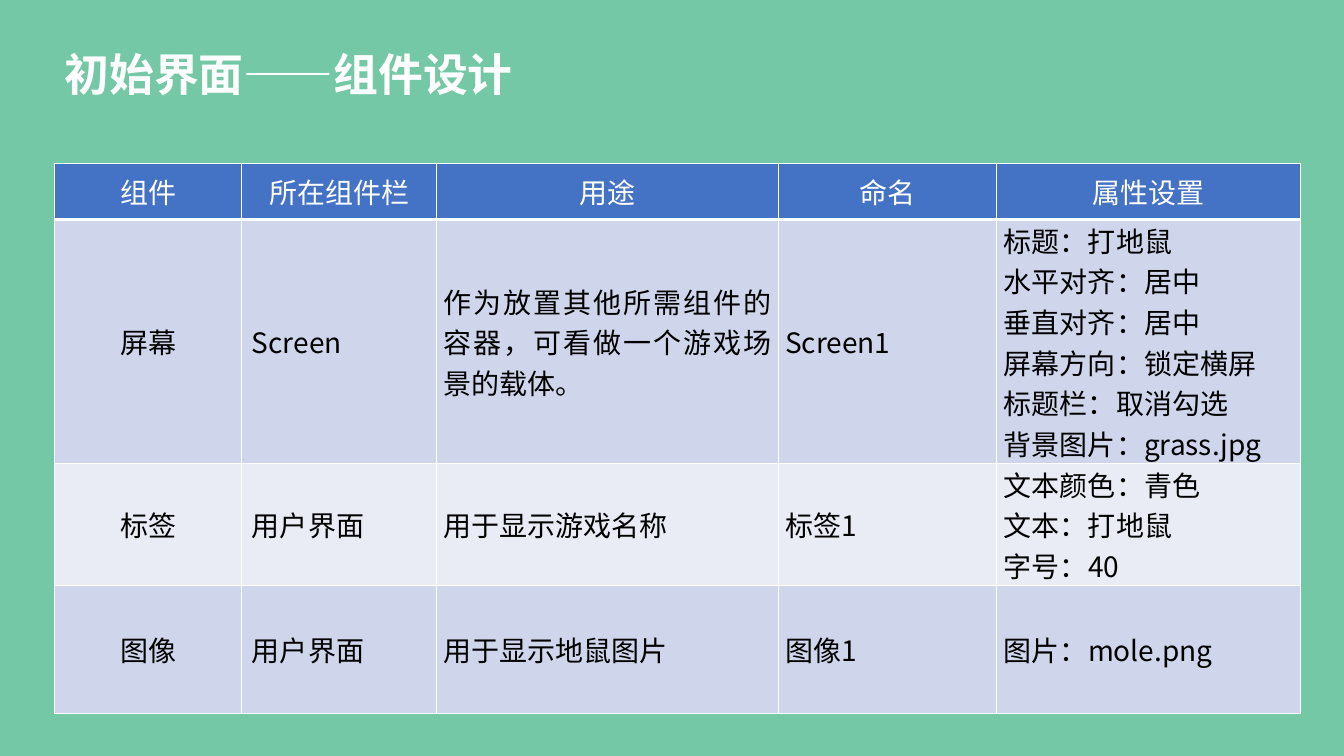
from dataclasses import dataclass

from lxml import etree
from pptx import Presentation
from pptx.dml.color import RGBColor
from pptx.enum.text import MSO_ANCHOR, MSO_AUTO_SIZE, PP_ALIGN
from pptx.oxml.ns import qn
from pptx.util import Pt

TOP, MIDDLE = MSO_ANCHOR.TOP, MSO_ANCHOR.MIDDLE
LEFT, CENTER, JUSTIFY = PP_ALIGN.LEFT, PP_ALIGN.CENTER, PP_ALIGN.JUSTIFY
NO_AUTOFIT = MSO_AUTO_SIZE.NONE
TITLE_ONLY = 5


@dataclass(frozen=True)
class Theme:
    font: str = "Noto Sans CJK SC"
    background: str = "74C8A6"
    light: str = "FFFFFF"
    dark: str = "000000"
    header: str = "4472C4"
    bands: tuple = ("CFD5EA", "E9EBF5")
    title_size: int = 32
    table_size: int = 20


# Table content and proportions
HEADINGS = ["组件", "所在组件栏", "用途", "命名", "属性设置"]
COMPONENTS = [
    ["屏幕", "Screen", "作为放置其他所需组件的容器，可看做一个游戏场景的载体。", "Screen1",
     "标题：打地鼠\n水平对齐：居中\n垂直对齐：居中\n屏幕方向：锁定横屏\n标题栏：取消勾选\n背景图片：grass.jpg"],
    ["标签", "用户界面", "用于显示游戏名称", "标签1",
     "文本颜色：青色\n文本：打地鼠\n字号：40"],
    ["图像", "用户界面", "用于显示地鼠图片", "图像1", "图片：mole.png"],
]
COLUMN_WIDTHS = [133.9, 139, 244.1, 156.2, 216.7]
ROW_HEIGHTS = [40.3, 139, 70.6, 91.4]
COLUMN_ALIGNMENTS = [CENTER, LEFT, JUSTIFY, JUSTIFY, LEFT]

# Cell margins in points: horizontal, vertical
WIDE_MARGINS = (7.2, 3.6)
TIGHT_MARGINS = (5.04, 0)


def apply_format(target, values):
    for name, value in values.items():
        setattr(target, name, value)


class SlideBuilder:
    def __init__(self, slide, theme):
        self.slide = slide
        self.theme = theme

    def background(self):
        fill = self.slide.background.fill
        fill.solid()
        fill.fore_color.rgb = RGBColor.from_string(self.theme.background)

    def add_text(self, frame, text, size, color, bold=False, **paragraph_format):
        for number, line in enumerate(text.split("\n")):
            paragraph = frame.add_paragraph() if number else frame.paragraphs[0]
            apply_format(paragraph, paragraph_format)
            run = paragraph.add_run()
            run.text = line
            apply_format(run.font, {"name": self.theme.font, "size": Pt(size), "bold": bold})
            run.font.color.rgb = RGBColor.from_string(color)
            east_asian = etree.SubElement(run.font._element, qn("a:ea"))
            east_asian.set("typeface", self.theme.font)

    def title(self, text, left, top, width, height):
        heading = self.slide.shapes.title
        apply_format(heading, {"left": Pt(left), "top": Pt(top),
                               "width": Pt(width), "height": Pt(height)})
        apply_format(heading.text_frame, {"word_wrap": True, "auto_size": NO_AUTOFIT,
                                          "vertical_anchor": TOP})
        self.add_text(heading.text_frame, text, self.theme.title_size, self.theme.light,
                      bold=True, alignment=LEFT, line_spacing=0.9, space_before=Pt(0))

    def borders(self, cell, bottom_width):
        properties = cell._tc.get_or_add_tcPr()
        for side, width in {"L": 1, "R": 1, "T": 1, "B": bottom_width}.items():
            line = etree.SubElement(properties, qn(f"a:ln{side}"), w=str(Pt(width)))
            fill = etree.SubElement(line, qn("a:solidFill"))
            etree.SubElement(fill, qn("a:srgbClr"), val=self.theme.light)

    def cell(self, cell, text, fill, color, alignment, margins, bottom_width=1):
        horizontal, vertical = map(Pt, margins)
        apply_format(cell, {"vertical_anchor": MIDDLE,
                            "margin_left": horizontal, "margin_right": horizontal,
                            "margin_top": vertical, "margin_bottom": vertical})
        self.borders(cell, bottom_width)
        cell.fill.solid()
        cell.fill.fore_color.rgb = RGBColor.from_string(fill)
        self.add_text(cell.text_frame, text, self.theme.table_size, color, alignment=alignment)

    def table(self, left, top):
        theme = self.theme
        table = self.slide.shapes.add_table(
            len(ROW_HEIGHTS), len(COLUMN_WIDTHS), Pt(left), Pt(top),
            Pt(sum(COLUMN_WIDTHS)), Pt(sum(ROW_HEIGHTS))).table
        for column, width in zip(table.columns, COLUMN_WIDTHS):
            column.width = Pt(width)
        for row, height in zip(table.rows, ROW_HEIGHTS):
            row.height = Pt(height)

        # Header row
        for column, heading in enumerate(HEADINGS):
            self.cell(table.cell(0, column), heading, theme.header, theme.light,
                      CENTER, WIDE_MARGINS, bottom_width=3)

        # Component rows in alternating bands
        for row, component in enumerate(COMPONENTS):
            for column, text in enumerate(component):
                margins = WIDE_MARGINS if column == 1 else TIGHT_MARGINS
                self.cell(table.cell(row + 1, column), text, theme.bands[row % 2],
                          theme.dark, COLUMN_ALIGNMENTS[column], margins)


def main():
    presentation = Presentation()
    presentation.slide_width, presentation.slide_height = Pt(960), Pt(540)
    slide = presentation.slides.add_slide(presentation.slide_layouts[TITLE_ONLY])
    builder = SlideBuilder(slide, Theme())
    builder.background()
    builder.title("初始界面——组件设计", 38.9, 33.8, 441.4, 49.7)
    builder.table(38.9, 116.6)
    presentation.save("out.pptx")


if __name__ == "__main__":
    main()
